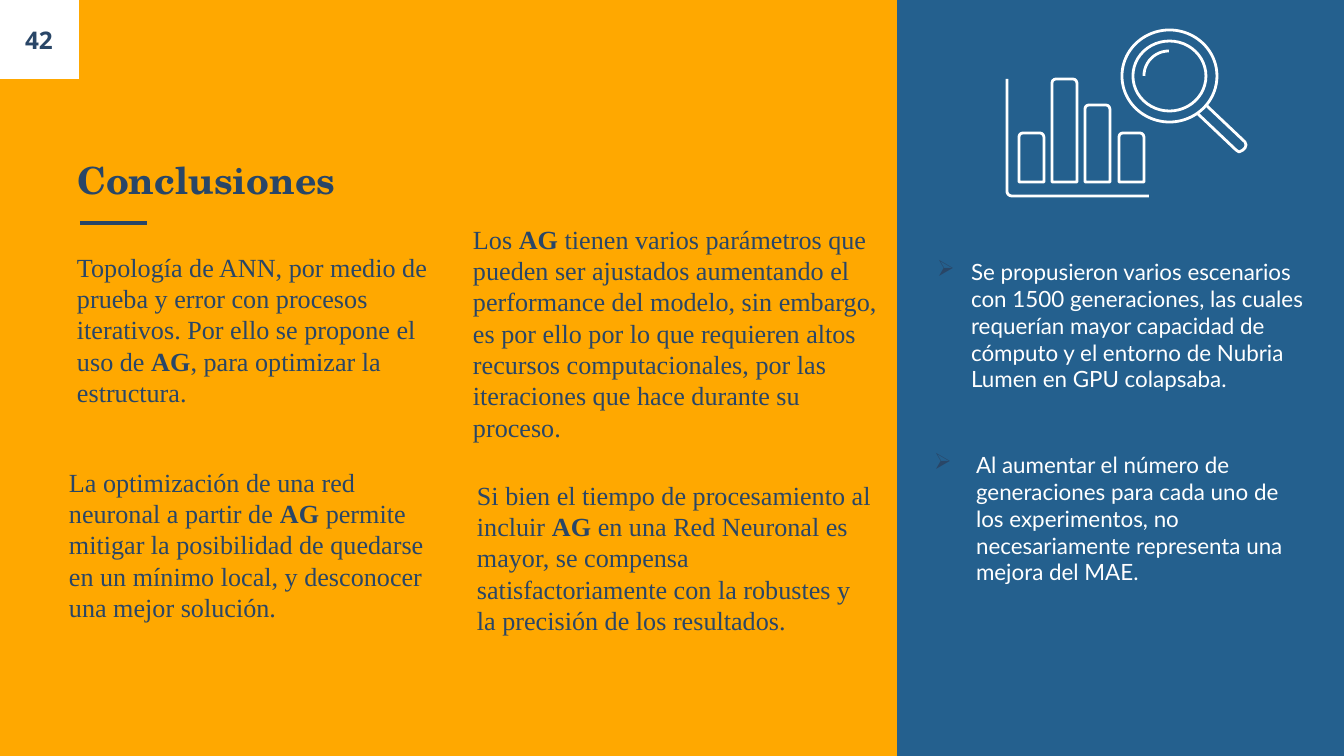
from dataclasses import dataclass
from math import cos, pi, sin

from lxml import etree
from pptx import Presentation
from pptx.dml.color import RGBColor
from pptx.enum.shapes import MSO_CONNECTOR, MSO_SHAPE
from pptx.enum.text import MSO_ANCHOR, PP_ALIGN
from pptx.oxml.ns import qn
from pptx.util import Pt

EMU_PER_PX = 914400 / 134.4
RECTANGLE = MSO_SHAPE.RECTANGLE
OVAL = MSO_SHAPE.OVAL
BAR = MSO_SHAPE.ROUND_2_SAME_RECTANGLE
STRAIGHT = MSO_CONNECTOR.STRAIGHT
TOP, MIDDLE, BOTTOM = MSO_ANCHOR.TOP, MSO_ANCHOR.MIDDLE, MSO_ANCHOR.BOTTOM
LEFT, CENTER = PP_ALIGN.LEFT, PP_ALIGN.CENTER


@dataclass(frozen=True)
class Style:
    font: str
    size: int
    color: str
    bold: bool = False


@dataclass(frozen=True)
class Theme:
    navy: str = "294667"
    blue: str = "00467C"
    amber: str = "FFA800"
    white: str = "FFFFFF"
    panel_opacity: int = 86
    rule_width: float = 2.25
    icon_width: float = 1.5
    title: Style = Style("TeX Gyre Schola", 20, "294667", True)
    number: Style = Style("Open Sans", 13, "294667", True)
    body: Style = Style("Times New Roman", 14, "294667")
    bullet: Style = Style("Lato", 12, "FFFFFF")


@dataclass(frozen=True)
class Frame:
    left: int
    top: int
    width: int
    height: int


@dataclass(frozen=True)
class Panel:
    frame: Frame
    color: str
    opacity: int = 100


@dataclass(frozen=True)
class Note:
    frame: Frame
    text: str
    style: Style
    anchor: int = TOP
    align: int = LEFT
    indent: int = 0


THEME = Theme()
EMPHASIS = "AG"
INSET = 13

PANELS = (
    Panel(Frame(897, 0, 447, 756), THEME.blue, THEME.panel_opacity),
    Panel(Frame(0, 0, 897, 756), THEME.amber),
    Panel(Frame(0, 0, 79, 79), THEME.white),
)

NOTES = (
    Note(Frame(64, 117, 767, 98), "Conclusiones", THEME.title, BOTTOM),
    Note(Frame(-1, 0, 80, 79), "42", THEME.number, MIDDLE, CENTER),
    Note(Frame(64, 238, 403, 200),
         "Topología de ANN, por medio de prueba y error con procesos iterativos. "
         "Por ello se propone el uso de AG, para optimizar la estructura.", THEME.body),
    Note(Frame(56, 453, 403, 192),
         "La optimización de una red neuronal a partir de AG permite mitigar la posibilidad "
         "de quedarse en un mínimo local, y desconocer una mejor solución.", THEME.body),
    Note(Frame(460, 210, 446, 276),
         "Los AG tienen varios parámetros que pueden ser ajustados aumentando el performance "
         "del modelo, sin embargo, es por ello por lo que requieren altos recursos "
         "computacionales, por las iteraciones que hace durante su proceso.", THEME.body),
    Note(Frame(464, 466, 421, 192),
         "Si bien el tiempo de procesamiento al incluir AG en una Red Neuronal es mayor, se "
         "compensa satisfactoriamente con la robustes y la precisión de los resultados.",
         THEME.body),
    Note(Frame(924, 245, 397, 192),
         "Se propusieron varios escenarios con 1500 generaciones, las cuales requerían mayor "
         "capacidad de cómputo y el entorno de Nubria Lumen en GPU colapsaba.",
         THEME.bullet, indent=34),
    Note(Frame(921, 438, 397, 192),
         "Al aumentar el número de generaciones para cada uno de los experimentos, no "
         "necesariamente representa una mejora del MAE.", THEME.bullet, indent=42),
)

BAR_TOPS = (133, 79, 105, 133)
BAR_BASE = 182
BAR_WIDTH = 25
BAR_CORNER = 0.16
LENSES = (Frame(1122, 30, 95, 92), Frame(1133, 41, 73, 70))


def px(length: float) -> int:
    return round(length * EMU_PER_PX)


def rgb(color: str) -> RGBColor:
    return RGBColor.from_string(color)


def apply(target, values: dict) -> None:
    for name, value in values.items():
        setattr(target, name, value)


def place(frame: Frame) -> tuple[int, int, int, int]:
    return px(frame.left), px(frame.top), px(frame.width), px(frame.height)


def arc(center: tuple, radius: int, start: float, end: float, steps: int = 12) -> list:
    angles = [start + (end - start) * step / steps for step in range(steps + 1)]
    return [(center[0] + radius * cos(a), center[1] + radius * sin(a)) for a in angles]


def draw_panel(page, panel: Panel) -> None:
    shape = page.shapes.add_shape(RECTANGLE, *place(panel.frame))
    shape.shadow.inherit = False
    shape.fill.solid()
    shape.fill.fore_color.rgb = rgb(panel.color)
    shape.line.fill.background()
    if panel.opacity < 100:
        color = shape._element.spPr.find(qn("a:solidFill")).find(qn("a:srgbClr"))
        etree.SubElement(color, qn("a:alpha"), val=str(panel.opacity * 1000))


def draw_rule(page, left: int, right: int, top: int) -> None:
    rule = page.shapes.add_connector(STRAIGHT, px(left), px(top), px(right), px(top))
    rule.line.color.rgb = rgb(THEME.navy)
    rule.line.width = Pt(THEME.rule_width)
    etree.SubElement(rule._element.spPr, qn("a:effectLst"))


def add_bullet(paragraph, indent: int) -> None:
    properties = paragraph._p.get_or_add_pPr()
    properties.set("marL", str(px(indent)))
    properties.set("indent", str(-px(indent)))
    color = etree.SubElement(properties, qn("a:buClr"))
    etree.SubElement(color, qn("a:srgbClr"), val=THEME.navy)
    etree.SubElement(properties, qn("a:buChar"), char="➢")


def draw_note(page, note: Note) -> None:
    box = page.shapes.add_textbox(*place(note.frame))
    inset = px(INSET)
    apply(box.text_frame, {
        "word_wrap": True, "vertical_anchor": note.anchor,
        "margin_left": inset, "margin_right": inset,
        "margin_top": inset, "margin_bottom": inset,
    })
    paragraph = box.text_frame.paragraphs[0]
    paragraph.alignment = note.align
    if note.indent:
        add_bullet(paragraph, note.indent)
    for text in filter(None, note.text.partition(EMPHASIS)):
        span = paragraph.add_run()
        span.text = text
        apply(span.font, {
            "name": note.style.font, "size": Pt(note.style.size),
            "bold": note.style.bold or text == EMPHASIS,
        })
        span.font.color.rgb = rgb(note.style.color)


def outline(shape) -> None:
    shape.shadow.inherit = False
    shape.fill.background()
    shape.line.color.rgb = rgb(THEME.white)
    shape.line.width = Pt(THEME.icon_width)


def draw_stroke(page, points: list) -> None:
    first, *rest = [(px(x), px(y)) for x, y in points]
    builder = page.shapes.build_freeform(*first, scale=1.0)
    builder.add_line_segments(rest, close=False)
    outline(builder.convert_to_shape())


def draw_icon(page) -> None:
    draw_stroke(page, [(1007, 79), *arc((1012, 191), 5, pi, pi / 2), (1149, 196)])
    for index, top in enumerate(BAR_TOPS):
        frame = Frame(1019 + index * 100 // 3, top, BAR_WIDTH, BAR_BASE - top)
        bar = page.shapes.add_shape(BAR, *place(frame))
        bar.adjustments[0] = BAR_CORNER
        outline(bar)
    for lens in LENSES:
        outline(page.shapes.add_shape(OVAL, *place(lens)))
    draw_stroke(page, arc((1169, 76), 25, pi, 3 * pi / 2))
    draw_stroke(page, [(1198, 114), (1236, 150), (1239, 152), (1243, 150),
                       (1245, 148), (1246, 145), (1245, 142), (1207, 106)])


def main() -> None:
    deck = Presentation()
    apply(deck, {"slide_width": px(1344), "slide_height": px(756)})
    page = deck.slides.add_slide(deck.slide_layouts[6])
    for panel in PANELS:
        draw_panel(page, panel)
    draw_rule(page, 80, 147, 223)
    draw_icon(page)
    for note in NOTES:
        draw_note(page, note)
    deck.save("out.pptx")


if __name__ == "__main__":
    main()
